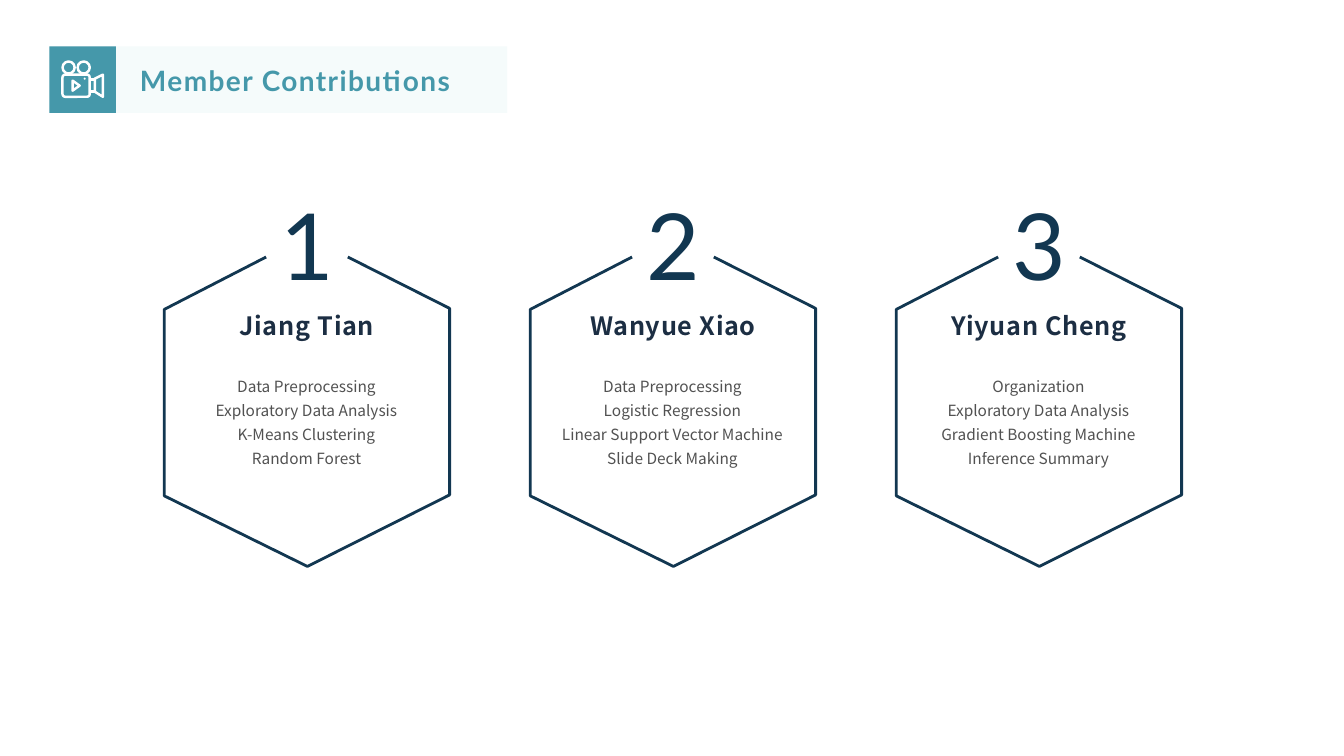
from lxml.etree import SubElement
from pptx import Presentation
from pptx.dml.color import RGBColor
from pptx.enum.shapes import MSO_SHAPE as SHAPE
from pptx.enum.text import MSO_AUTO_SIZE as AUTO, PP_ALIGN as ALIGN
from pptx.oxml.ns import qn
from pptx.util import Inches, Pt

LATO, NOTO = "Lato", "Noto Sans CJK SC"
TEAL, PALE, NAVY, INK, GREY, WHITE = (
    "4598AA", "F5FBFB", "123751", "1C2E43", "262626", "FFFFFF")


def rgb(value):
    return RGBColor.from_string(value)


class Deck:
    def __init__(self, prs):
        self.slide = prs.slides.add_slide(prs.slide_layouts[6])
        self.shapes = self.slide.shapes

    def paint(self, sp, fill=None, line=None, width=1.75):
        sp.shadow.inherit = False
        if fill:
            sp.fill.solid()
            sp.fill.fore_color.rgb = rgb(fill)
        else:
            sp.fill.background()
        if line:
            sp.line.color.rgb = rgb(line)
            sp.line.width = Pt(width)
        else:
            sp.line.fill.background()
        return sp

    def shape(self, kind, x, y, w, h, **style):
        sp = self.shapes.add_shape(kind, Inches(x), Inches(y), Inches(w), Inches(h))
        return self.paint(sp, **style)

    def outline(self, points, x=0, y=0, close=False, **style):
        start, *rest = [(Inches(x + px), Inches(y + py)) for px, py in points]
        builder = self.shapes.build_freeform(*start)
        builder.add_line_segments(rest, close=close)
        return self.paint(builder.convert_to_shape(), **style)

    def text(self, lines, x, y, w, h, size, color, font=LATO, bold=False,
             align=ALIGN.CENTER, spacing=None, tracking=0, alpha=None):
        sp = self.shapes.add_textbox(Inches(x), Inches(y), Inches(w), Inches(h))
        tf = sp.text_frame
        tf.word_wrap = True
        tf.auto_size = AUTO.SHAPE_TO_FIT_TEXT
        tf.text = "\n".join(lines)
        for p in tf.paragraphs:
            p.alignment = align
            if spacing:
                p.line_spacing = Pt(spacing)
            for r in p.runs:
                r.font.size, r.font.bold, r.font.name = Pt(size), bold, font
                r.font.color.rgb = rgb(color)
                rPr = r.font._element
                SubElement(rPr, qn("a:ea")).set("typeface", font)
                if tracking:
                    rPr.set("spc", str(tracking))
                if alpha:
                    clr = rPr.find(".//" + qn("a:srgbClr"))
                    SubElement(clr, qn("a:alpha")).set("val", str(alpha * 1000))

    def camera(self):
        for x in (0.62, 0.77):
            self.shape(SHAPE.OVAL, x, 0.61, 0.12, 0.12, line=WHITE)
        body = self.shape(SHAPE.ROUNDED_RECTANGLE, 0.62, 0.74, 0.27, 0.22, line=WHITE)
        body.adjustments[0] = 0.12
        self.shape(SHAPE.RECTANGLE, 0.89, 0.79, 0.05, 0.12, line=WHITE)
        self.outline([(0.94, 0.78), (1.02, 0.74), (1.02, 0.96), (0.94, 0.91)],
                     close=True, line=WHITE)
        self.outline([(0.72, 0.8), (0.79, 0.85), (0.72, 0.9)], close=True, line=WHITE)
        self.shape(SHAPE.OVAL, 0.83, 0.77, 0.02, 0.02, fill=WHITE)

    def member(self, x, number, name, tasks):
        self.outline(HEXAGON, x, 2.55, line=NAVY, width=2)
        self.text([number], x + 0.8, 1.82, 1.23, 1.21, 66, NAVY)
        self.text(tasks, x + 0.15, 3.64, 2.52, 1.04, 11, GREY, NOTO,
                  spacing=17.16, alpha=80)
        self.text([name], x + 0.39, 3.03, 2.05, 0.4, 18, INK, NOTO, bold=True,
                  spacing=21.6, tracking=50)


# Hexagon with a gap at the top for the number
HEXAGON = [(1.01, 0), (0, 0.52), (0, 2.37), (1.42, 3.07),
           (2.83, 2.36), (2.83, 0.51), (1.82, 0)]

MEMBERS = [
    ("Jiang Tian", ["Data Preprocessing", "Exploratory Data Analysis",
                    "K-Means Clustering", "Random Forest"]),
    ("Wanyue Xiao", ["Data Preprocessing", "Logistic Regression",
                     "Linear Support Vector Machine", "Slide Deck Making"]),
    ("Yiyuan Cheng", ["Organization", "Exploratory Data Analysis",
                      "Gradient Boosting Machine", "Inference Summary"]),
]


def main():
    prs = Presentation()
    prs.slide_width, prs.slide_height = Inches(13.33), Inches(7.5)
    deck = Deck(prs)

    # Title bar
    deck.shape(SHAPE.RECTANGLE, 0.49, 0.46, 4.54, 0.66, fill=PALE)
    deck.shape(SHAPE.RECTANGLE, 0.49, 0.46, 0.66, 0.66, fill=TEAL)
    deck.camera()
    deck.text(["Member Contributions"], 1.29, 0.58, 3.73, 0.44, 20, TEAL,
              bold=True, align=ALIGN.LEFT, tracking=100)

    # Members
    for i, (name, tasks) in enumerate(MEMBERS):
        deck.member(1.63 + 3.63 * i, str(i + 1), name, tasks)

    prs.save("out.pptx")


if __name__ == "__main__":
    main()
